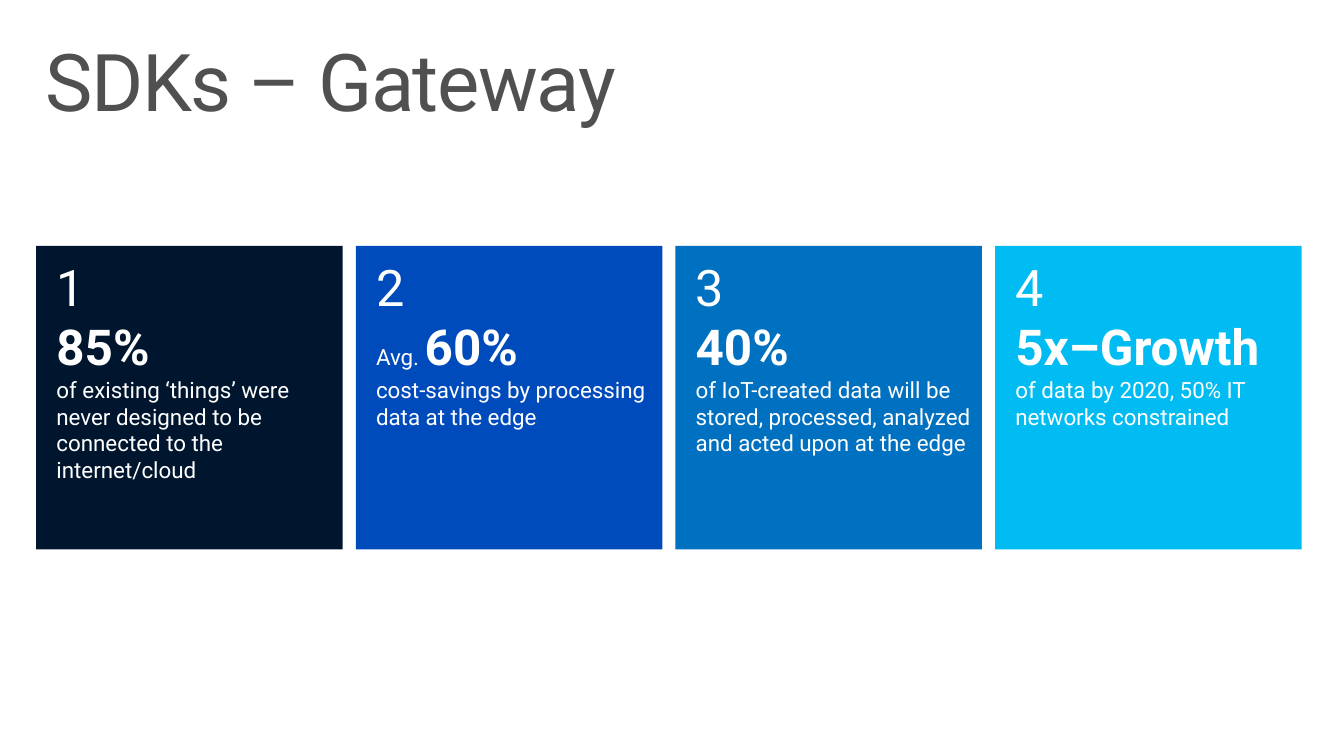
from dataclasses import dataclass

import pptx
import pptx.dml.color
import pptx.enum.shapes
import pptx.enum.text
import pptx.util

SLIDE_WIDTH, SLIDE_HEIGHT = 13.33, 7.5
FONT = "Roboto"
WHITE, GRAY = "FFFFFF", "505050"

CARD_LEFT, CARD_TOP = 0.36, 2.44
CARD_WIDTH, CARD_HEIGHT = 3.04, 3.01
COLUMN_STEP = 3.17


@dataclass(frozen=True)
class Fact:
    color: str
    figure: str
    detail: str
    prefix: str = ""


FACTS = [
    Fact("00162E", "85%",
         "of existing ‘things’ were never designed to be connected to the internet/cloud"),
    Fact("004BBC", "60%", "cost-savings by processing data at the edge", prefix="Avg. "),
    Fact("0070C0", "40%",
         "of IoT-created data will be stored, processed, analyzed and acted upon at the edge"),
    Fact("00BCF2", "5x–Growth", "of data by 2020, 50% IT networks constrained"),
]


def rgb(color: str) -> pptx.dml.color.RGBColor:
    return pptx.dml.color.RGBColor.from_string(color)


def add_text(paragraph, text: str, *, size: float, color: str = WHITE,
             bold: bool = False, tracking: float = 0) -> None:
    """Append a formatted run; size and tracking are in points."""
    run = paragraph.add_run()
    run.text = text
    run.font.name = FONT
    run.font.size = pptx.util.Pt(size)
    run.font.bold = bold
    run.font.color.rgb = rgb(color)
    if tracking:
        run.font._element.set("spc", str(round(tracking * 100)))


def prepare_frame(shape, left: float, top: float, right: float, bottom: float):
    """Wrap and top-anchor the shape's text inside the given insets."""
    frame = shape.text_frame
    frame.word_wrap = True
    frame.vertical_anchor = pptx.enum.text.MSO_ANCHOR.TOP
    frame.margin_left, frame.margin_top, frame.margin_right, frame.margin_bottom = map(
        pptx.util.Inches, (left, top, right, bottom))
    return frame


def draw_title(slide, text: str) -> None:
    title = slide.shapes.add_textbox(*map(pptx.util.Inches, (0.29, 0.32, 12.74, 0.98)))
    paragraph = prepare_frame(title, 0.16, 0.1, 0.16, 0.1).paragraphs[0]
    paragraph.line_spacing = 0.9
    add_text(paragraph, text, size=56.9, color=GRAY, tracking=-1)


def draw_card(slide, column: int, fact: Fact) -> None:
    card = slide.shapes.add_shape(
        pptx.enum.shapes.MSO_SHAPE.RECTANGLE,
        *map(pptx.util.Inches, (CARD_LEFT + column * COLUMN_STEP, CARD_TOP,
                                CARD_WIDTH, CARD_HEIGHT)))
    card.shadow.inherit = False
    card.fill.solid()
    card.fill.fore_color.rgb = rgb(fact.color)
    card.line.fill.background()

    frame = prepare_frame(card, 0.2, 0.1, 0.1, 0.05)
    number, headline, detail = frame.paragraphs[0], frame.add_paragraph(), frame.add_paragraph()
    for paragraph in frame.paragraphs:
        paragraph.alignment = pptx.enum.text.PP_ALIGN.LEFT
    add_text(number, str(column + 1), size=36)
    if fact.prefix:
        add_text(headline, fact.prefix, size=16)
    add_text(headline, fact.figure, size=35.3, bold=True)
    add_text(detail, fact.detail, size=16)


def main() -> None:
    deck = pptx.Presentation()
    deck.slide_width = pptx.util.Inches(SLIDE_WIDTH)
    deck.slide_height = pptx.util.Inches(SLIDE_HEIGHT)
    slide = deck.slides.add_slide(deck.slide_layouts[6])
    draw_title(slide, "SDKs – Gateway")
    for column, fact in enumerate(FACTS):
        draw_card(slide, column, fact)
    deck.save("out.pptx")


if __name__ == "__main__":
    main()
